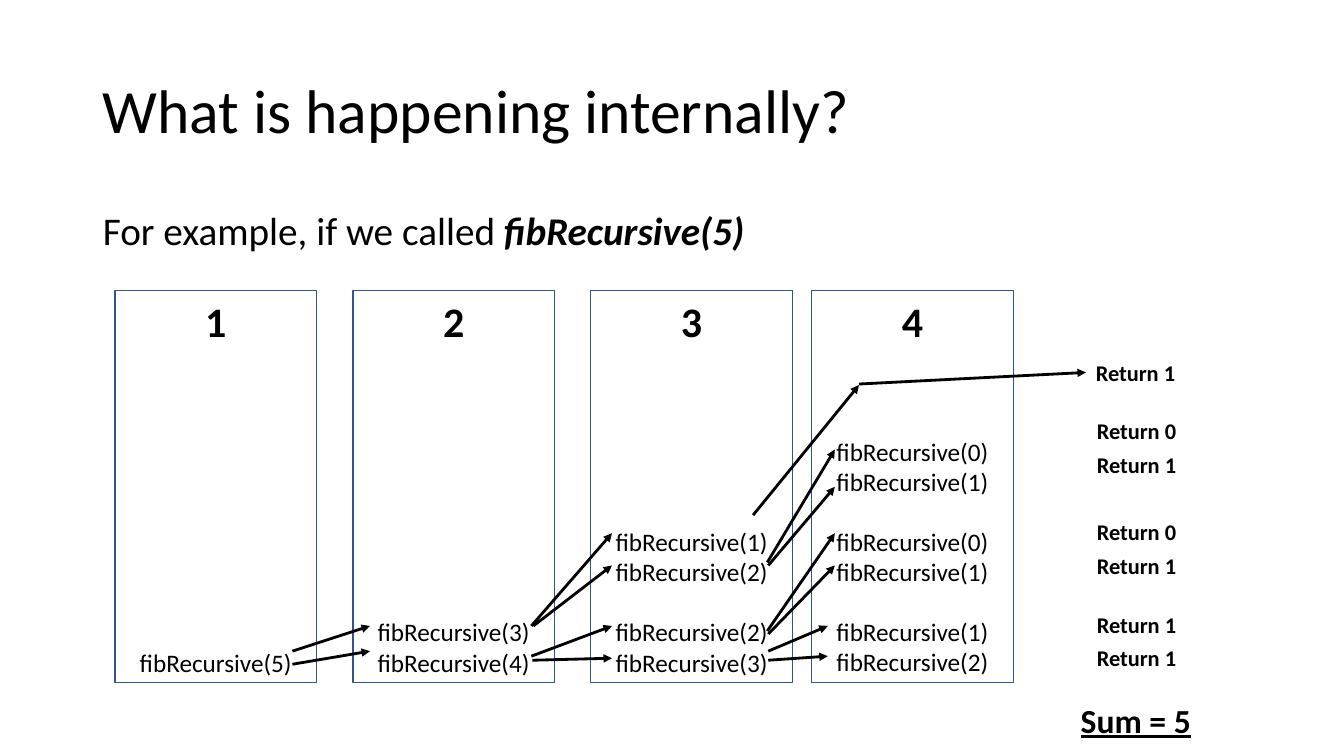
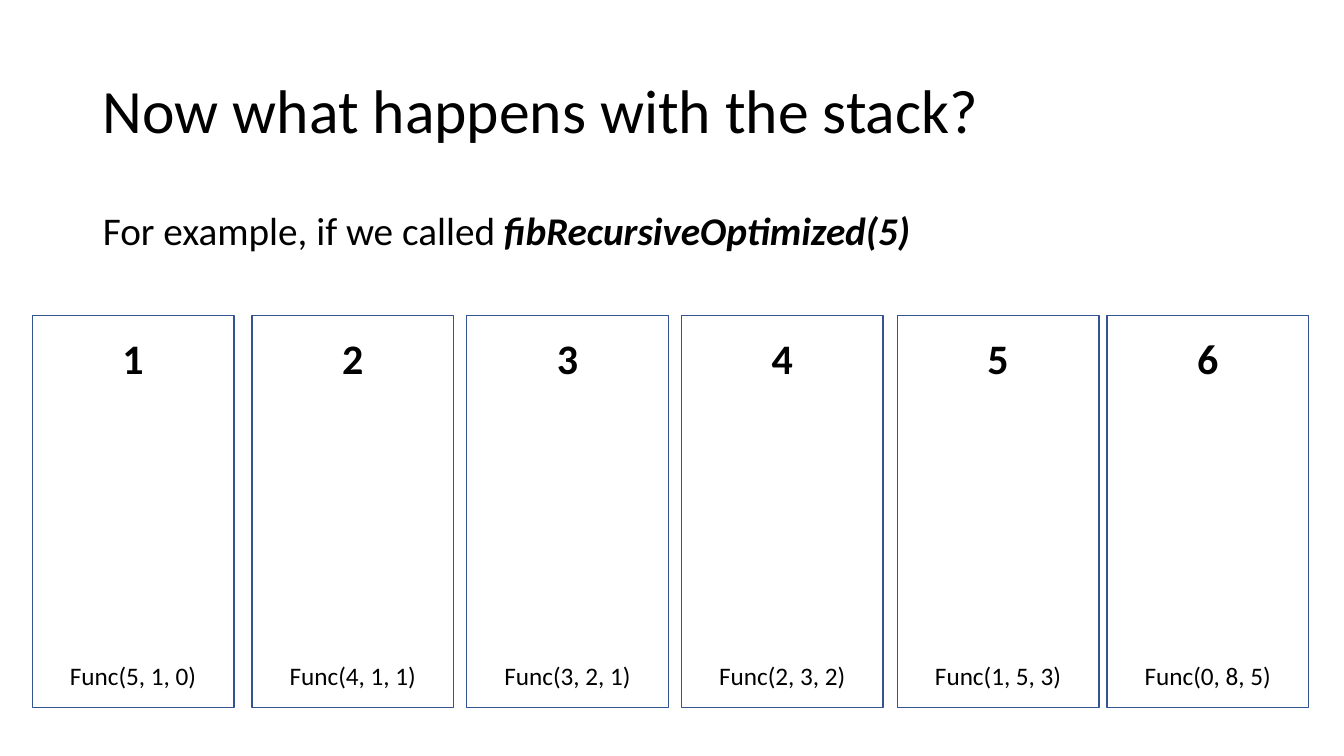
from typing import NamedTuple

from lxml import etree
from pptx import Presentation
from pptx.dml.color import RGBColor
from pptx.enum.shapes import MSO_CONNECTOR, MSO_SHAPE
from pptx.enum.text import MSO_ANCHOR, MSO_AUTO_SIZE, PP_ALIGN
from pptx.oxml.ns import qn
from pptx.util import Emu, Pt

# Shared style
BLACK = RGBColor(0x00, 0x00, 0x00)
WHITE = RGBColor(0xFF, 0xFF, 0xFF)
BLUE = RGBColor(0x32, 0x54, 0x91)
FONT = "Calibri"
RECT = MSO_SHAPE.RECTANGLE
STRAIGHT = MSO_CONNECTOR.STRAIGHT
TOP, MIDDLE = MSO_ANCHOR.TOP, MSO_ANCHOR.MIDDLE
LEFT, CENTER = PP_ALIGN.LEFT, PP_ALIGN.CENTER
FIXED = MSO_AUTO_SIZE.NONE
LEFT_SIDE = 1
SCALE = 9144  # EMU per px, 100 px to the inch
CARD_W, CARD_H = 200, 389


class Call(NamedTuple):
    row: int
    text: str


class Card(NamedTuple):
    left: int
    calls: tuple[Call, ...]


class Arrow(NamedTuple):
    x1: int
    y1: int
    x2: int
    y2: int


class Label(NamedTuple):
    left: int
    top: int
    text: str


# Recursion tree
TREE = (
    Card(114, (Call(11, "fibRecursive(5)"),)),
    Card(350, (Call(10, "fibRecursive(3)"), Call(11, "fibRecursive(4)"))),
    Card(586, (Call(7, "fibRecursive(1)"), Call(8, "fibRecursive(2)"),
               Call(10, "fibRecursive(2)"), Call(11, "fibRecursive(3)"))),
    Card(805, (Call(4, "fibRecursive(0)"), Call(5, "fibRecursive(1)"),
               Call(7, "fibRecursive(0)"), Call(8, "fibRecursive(1)"),
               Call(10, "fibRecursive(1)"), Call(11, "fibRecursive(2)"))),
)
ARROWS = (
    Arrow(290, 646, 367, 621), Arrow(290, 659, 367, 646),
    Arrow(527, 621, 607, 529), Arrow(529, 621, 607, 561),
    Arrow(528, 655, 607, 653), Arrow(527, 651, 607, 621),
    Arrow(747, 511, 852, 382), Arrow(761, 558, 828, 446),
    Arrow(762, 561, 828, 483), Arrow(761, 626, 828, 529),
    Arrow(762, 629, 828, 561), Arrow(762, 646, 821, 621),
    Arrow(762, 655, 821, 651),
)
FIRST = Label(1077, 351, "Return 1")
LABELS = (
    Label(1078, 409, "Return 0"), Label(1078, 443, "Return 1"),
    Label(1078, 509, "Return 0"), Label(1078, 543, "Return 1"),
    Label(1078, 601, "Return 1"), Label(1078, 634, "Return 1"),
)

# Single-call stack
STACK = tuple(
    Card(left, (Call(10, f"Func({args})"),))
    for left, args in (
        (32, "5, 1, 0"), (250, "4, 1, 1"), (463, "3, 2, 1"),
        (676, "2, 3, 2"), (890, "1, 5, 3"), (1098, "0, 8, 5"),
    )
)


def px(size: int) -> Emu:
    return Emu(size * SCALE)


def place(shape, left: int, top: int, width: int, height: int) -> None:
    shape.left, shape.top = px(left), px(top)
    shape.width, shape.height = px(width), px(height)


def style(para, size: int, bold: bool | None = None, align=LEFT) -> None:
    para.alignment = align
    font = para.font
    font.name, font.size, font.bold = FONT, Pt(size), bold
    font.color.rgb = BLACK


def add_page(deck, title: str, call: str):
    """Add a slide with its title and lead sentence."""
    page = deck.slides.add_slide(deck.slide_layouts[1])
    head, body = page.shapes.title, page.placeholders[1]
    place(head, 92, 40, 1150, 145)
    place(body, 92, 200, 1150, 476)
    for box, anchor in ((head, MIDDLE), (body, TOP)):
        box.text_frame.auto_size = FIXED
        box.text_frame.vertical_anchor = anchor

    head.text_frame.text = title
    para = head.text_frame.paragraphs[0]
    para.line_spacing = 0.9
    style(para, 44)

    para = body.text_frame.paragraphs[0]
    para.add_run().text = "For example, if we called "
    run = para.add_run()
    run.text = call
    run.font.bold = run.font.italic = True
    para.space_before = Pt(0)
    style(para, 28)
    props = para._p.get_or_add_pPr()
    props.set("marL", "0")
    props.set("indent", "0")
    props.insert_element_before(
        props.makeelement(qn("a:buNone")), "a:tabLst", "a:defRPr", "a:extLst")
    return page


def add_card(page, card: Card, num: int, top: int, pitch: float) -> None:
    """Draw a numbered stack whose calls sit on rows of equal pitch."""
    box = page.shapes.add_shape(
        RECT, px(card.left), px(top), px(CARD_W), px(CARD_H))
    box.shadow.inherit = False
    box.fill.solid()
    box.fill.fore_color.rgb = WHITE
    box.line.color.rgb = BLUE
    box.line.width = Pt(1)
    frame = box.text_frame
    frame.word_wrap = True
    frame.vertical_anchor = MIDDLE
    frame.text = str(num)
    style(frame.paragraphs[0], 30, True, CENTER)
    last = 0
    for call in card.calls:
        para = frame.add_paragraph()
        para.text = call.text
        style(para, 18, False, CENTER)
        para.line_spacing = Pt(pitch)
        para.space_before = Pt((call.row - last - 1) * pitch)
        last = call.row


def add_cards(page, cards: tuple[Card, ...], top: int, pitch: float) -> None:
    for num, card in enumerate(cards, 1):
        add_card(page, card, num, top, pitch)


def add_arrow(page, arrow: Arrow):
    line = page.shapes.add_connector(STRAIGHT, *map(px, arrow))
    line.line.color.rgb = BLACK
    line.line.width = Pt(2)
    etree.SubElement(line.line._get_or_add_ln(), qn("a:tailEnd"),
                     type="triangle")
    etree.SubElement(line._element.spPr, qn("a:effectLst"))
    return line


def add_label(page, label: Label, width: int = 100, height: int = 37,
              size: int = 16):
    box = page.shapes.add_textbox(
        px(label.left), px(label.top), px(width), px(height))
    frame = box.text_frame
    frame.word_wrap = False
    frame.text = label.text
    style(frame.paragraphs[0], size, True)
    return box


def add_tree(deck) -> None:
    page = add_page(deck, "What is happening internally?", "fibRecursive(5)")
    add_cards(page, TREE, 288, 21.5)
    for arrow in ARROWS:
        add_arrow(page, arrow)
    for label in LABELS:
        add_label(page, label)
    first = add_label(page, FIRST)
    add_arrow(page, Arrow(852, 381, 1077, 369)).end_connect(first, LEFT_SIDE)
    total = add_label(page, Label(1062, 689, "Sum = 5"), 130, 50, 24)
    total.text_frame.paragraphs[0].font.underline = True


def add_stack(deck) -> None:
    page = add_page(deck, "Now what happens with the stack?",
                    "fibRecursiveOptimized(5)")
    add_cards(page, STACK, 313, 22)


def main() -> None:
    deck = Presentation()
    deck.slide_width, deck.slide_height = px(1333), px(750)
    add_tree(deck)
    add_stack(deck)
    deck.save("out.pptx")


if __name__ == "__main__":
    main()
